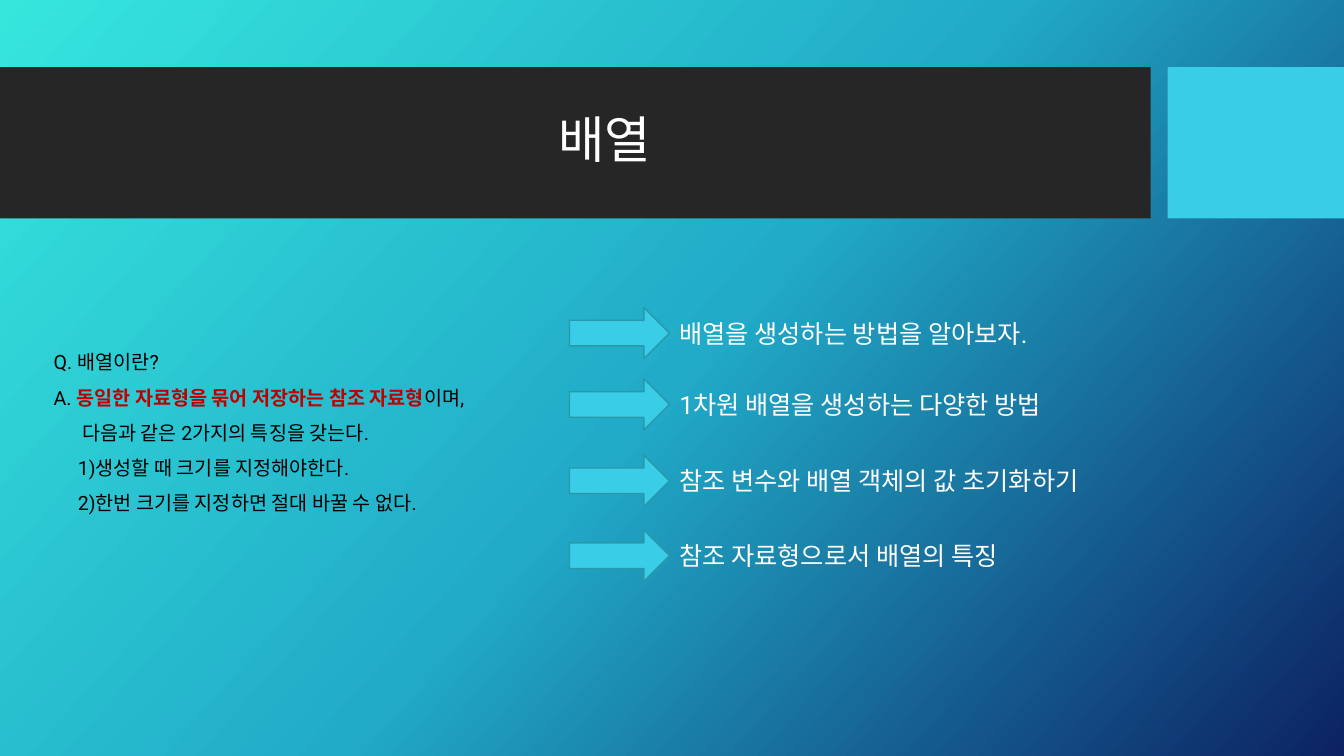
from copy import deepcopy
from pptx import Presentation
from pptx.dml.color import RGBColor as RGB
from pptx.enum.shapes import MSO_SHAPE as Shape
from pptx.enum.text import MSO_ANCHOR as Anchor, MSO_AUTO_SIZE as Fit, PP_ALIGN as Align
from pptx.util import Inches, Pt

WHITE = RGB(0xFF, 0xFF, 0xFF)
BLACK = RGB(0, 0, 0)
DARK = RGB(0x26, 0x26, 0x26)
SKY = RGB(0x39, 0xCD, 0xE7)
TEAL = RGB(0x2A, 0x98, 0xAB)
RED = RGB(0xC0, 0, 0)
FADE = [(0, RGB(0x36, 0xE6, 0xDD)), (0.5, RGB(0x21, 0xAB, 0xC8)), (1, RGB(0x0C, 0x22, 0x63))]

COLS, ROWS = 160, 90
NOTES = [
    (0, [("Q. 배열이란?", False)]),
    (0, [("A. ", False), ("동일한 자료형을 묶어 저장하는 참조 자료형", True), ("이며,", False)]),
    (3.4, [("다음과 같은 2가지의 특징을 갖는다.", False)]),
    (2.9, [("1)생성할 때 크기를 지정해야한다.", False)]),
    (2.9, [("2)한번 크기를 지정하면 절대 바꿀 수 없다.", False)]),
]
TOPICS = [
    (36.6, 48.7, "배열을 생성하는 방법을 알아보자."),
    (45.1, 50, "1차원 배열을 생성하는 다양한 방법"),
    (54.2, 55.4, "참조 변수와 배열 객체의 값 초기화하기"),
    (63.1, 44.5, "참조 자료형으로서 배열의 특징"),
]


class Board:
    """Draws styled elements on one slide, placed by grid columns and rows."""

    def __init__(self, deck, font):
        self.font = font
        self.cell = deck.slide_width / COLS
        self.slide = deck.slides.add_slide(deck.slide_layouts[5])

    def area(self, *cells):
        return [round(n * self.cell) for n in cells]

    def style(self, para, size, color):
        para.font.name, para.font.size = self.font, Pt(size)
        para.font.color.rgb = color

    def fade(self, stops, angle):
        fill = self.slide.background.fill
        fill.gradient()
        fill.gradient_angle = 360 - angle
        first = fill.gradient_stops[0]._gs
        first.addnext(deepcopy(first))
        for stop, (pos, color) in zip(fill.gradient_stops, stops):
            stop.position, stop.color.rgb = pos, color

    def block(self, kind, cells, fill, line=None, home=None):
        shape = (home or self.slide).shapes.add_shape(kind, *self.area(*cells))
        shape.shadow.inherit = False
        shape.fill.solid()
        shape.fill.fore_color.rgb = fill
        if line is None:
            shape.line.fill.background()
        else:
            shape.line.color.rgb, shape.line.width = line, Pt(1)

    def title(self, text, cells, size):
        head = self.slide.shapes.title
        head.left, head.top, head.width, head.height = self.area(*cells)
        frame = head.text_frame
        frame.text, frame.vertical_anchor = text, Anchor.MIDDLE
        para = frame.paragraphs[0]
        para.alignment, para.line_spacing = Align.CENTER, 0.9
        self.style(para, size, WHITE)
        self.slide.shapes._spTree.append(head._element)

    def notes(self, lines, cells, size):
        frame = self.slide.shapes.add_textbox(*self.area(*cells)).text_frame
        frame.word_wrap, frame.auto_size = True, Fit.SHAPE_TO_FIT_TEXT
        for i, (indent, parts) in enumerate(lines):
            para = frame.add_paragraph() if i else frame.paragraphs[0]
            para.line_spacing = 1.5
            para._p.get_or_add_pPr().set("marL", str(self.area(indent)[0]))
            self.style(para, size, BLACK)
            for text, strong in parts:
                run = para.add_run()
                run.text = text
                run.font.name, run.font.size = self.font, Pt(size)
                run.font.bold = strong
                run.font.color.rgb = RED if strong else BLACK

    def topic(self, top, width, text):
        group = self.slide.shapes.add_group_shape()
        self.block(Shape.RIGHT_ARROW, (67.8, top, 11.9, 6.1), SKY, TEAL, group)
        box = group.shapes.add_textbox(*self.area(79.7, top + 0.65, width, 4.8))
        frame = box.text_frame
        frame.word_wrap, frame.auto_size = False, Fit.SHAPE_TO_FIT_TEXT
        frame.text = text
        self.style(frame.paragraphs[0], 18, WHITE)


def main():
    deck = Presentation()
    deck.slide_width, deck.slide_height = Inches(COLS / 12), Inches(ROWS / 12)
    board = Board(deck, "Roboto")
    board.fade(FADE, 42)
    board.block(Shape.RECTANGLE, (0, 8, 137, 18), DARK)
    board.block(Shape.RECTANGLE, (139, 8, 21, 18), SKY)
    board.title("배열", (8.8, 9.8, 126.4, 14.2), 36)
    board.notes(NOTES, (5.2, 39.7, 70.2, 22.4), 14)
    for topic in TOPICS:
        board.topic(*topic)
    deck.save("out.pptx")


if __name__ == "__main__":
    main()
